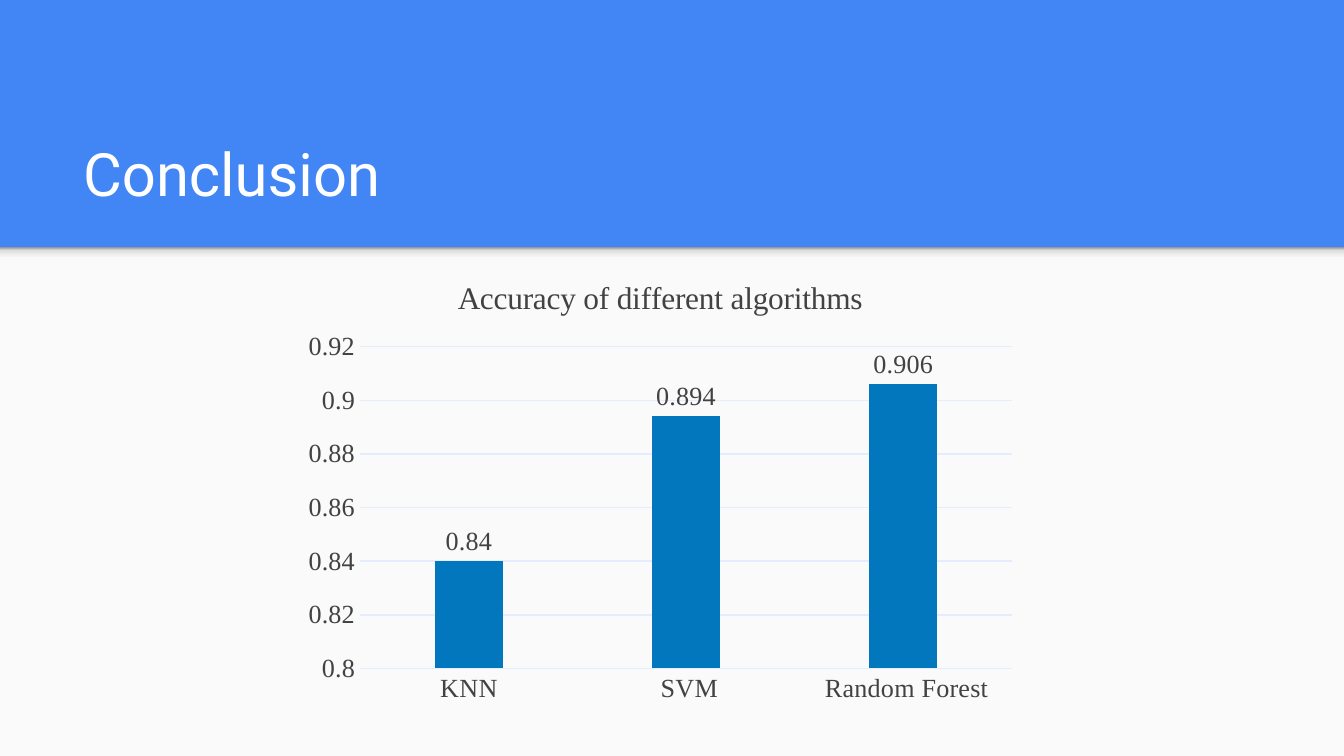
from typing import NamedTuple

from lxml import etree
from pptx import Presentation, util as u
from pptx.chart.data import CategoryChartData
from pptx.dml.color import RGBColor
from pptx.enum import chart as ch, shapes, text
from pptx.oxml import ns, parse_xml

COLORS = {
    "header": "4285F4", "body": "FAFAFA", "heading": "FFFFFF",
    "ink": "424242", "grid": "E3EDFD", "bar": "0277BD",
}
SHADE_STOPS = [(0, "F9F9F9"), (36, "F9F9F9"), (80, "DEDEDE"), (100, "999999")]
CHART_FONT = "Times New Roman"


class Accuracy(NamedTuple):
    algorithm: str
    score: float


ACCURACIES = [
    Accuracy("KNN", 0.84),
    Accuracy(" SVM", 0.894),
    Accuracy(" Random Forest", 0.906),
]


def rgb(key: str) -> RGBColor:
    return RGBColor.from_string(COLORS[key])


def style_font(font, name: str, size: float, color: str) -> None:
    font.name, font.size, font.bold = name, u.Pt(size), False
    font.color.rgb = rgb(color)


def add_band(slide, top: float, height: float):
    """Full-width rectangle without outline or shadow."""
    band = slide.shapes.add_shape(
        shapes.MSO_SHAPE.RECTANGLE, 0, u.Inches(top), u.Inches(10), u.Inches(height))
    band.shadow.inherit = False
    band.line.fill.background()
    return band


def set_layout(parent, **fractions: float) -> None:
    """Fix a chart part's place, as fractions of the chart area."""
    for old in parent.findall(ns.qn("c:layout")):
        parent.remove(old)
    inner = '<c:layoutTarget val="inner"/>' if "w" in fractions else ""
    modes = "".join(f'<c:{k}Mode val="edge"/>' for k in fractions if k in "xy")
    values = "".join(f'<c:{k} val="{v}"/>' for k, v in fractions.items())
    layout = parse_xml(
        f'<c:layout {ns.nsdecls("c")}><c:manualLayout>{inner}{modes}{values}'
        "</c:manualLayout></c:layout>")
    title_text = parent.find(ns.qn("c:tx"))
    parent.insert(0 if title_text is None else 1, layout)


# 16:9 slide
prs = Presentation()
prs.slide_width = u.Inches(10)
prs.slide_height = u.Inches(10 * 9 / 16)
slide = prs.slides.add_slide(prs.slide_layouts[6])

# Header background and body panel
slide.background.fill.solid()
slide.background.fill.fore_color.rgb = rgb("header")
body = add_band(slide, 1.84, 3.79)
body.fill.solid()
body.fill.fore_color.rgb = rgb("body")

# Shade below the header, darkest at its top edge
shade = add_band(slide, 1.84, 0.12)
shade.fill.gradient()
shade.fill.gradient_angle = 90
stops = shade.element.spPr.find(ns.qn("a:gradFill")).find(ns.qn("a:gsLst"))
for stop in list(stops):
    stops.remove(stop)
for position, color in SHADE_STOPS:
    stop = etree.SubElement(stops, ns.qn("a:gs"), pos=str(position * 1000))
    etree.SubElement(stop, ns.qn("a:srgbClr"), val=color)

# Heading
heading = slide.shapes.add_textbox(
    u.Inches(0.52), u.Inches(0.81), u.Inches(8.99), u.Inches(0.84)).text_frame
heading.word_wrap = True
heading.vertical_anchor = text.MSO_ANCHOR.BOTTOM
heading.margin_left = heading.margin_right = u.Inches(0.1)
heading.margin_top = heading.margin_bottom = u.Inches(0.1)
heading.text = "Conclusion"
style_font(heading.paragraphs[0].font, "Roboto", 32, "heading")

# Accuracy chart
data = CategoryChartData()
data.categories = [a.algorithm for a in ACCURACIES]
data.add_series("Series 1", [a.score for a in ACCURACIES])
chart = slide.shapes.add_chart(
    ch.XL_CHART_TYPE.COLUMN_CLUSTERED, u.Inches(2.19), u.Inches(1.92),
    u.Inches(5.46), u.Inches(3.38), data).chart
style_font(chart.font, CHART_FONT, 14, "ink")
chart.has_legend = False

chart.has_title = True
title = chart.chart_title
title.text_frame.text = "Accuracy of different algorithms"
style_font(title.text_frame.paragraphs[0].font, CHART_FONT, 16.8, "ink")
title.include_in_layout = False
set_layout(title._element, x=0.215, y=0.03)
set_layout(chart._chartSpace.chart.plotArea, x=0.09, y=0.195, w=0.888, h=0.709)

# Bars and their values
plot = chart.plots[0]
plot.gap_width, plot.overlap = 219, -27
plot.vary_by_categories = False
bars = plot.series[0]
bars.format.fill.solid()
bars.format.fill.fore_color.rgb = rgb("bar")
labels = bars.data_labels
labels.show_value = True
labels.position = ch.XL_LABEL_POSITION.OUTSIDE_END
style_font(labels.font, CHART_FONT, 14, "ink")

# Axes
algorithms, scores = chart.category_axis, chart.value_axis
for axis in (algorithms, scores):
    axis.major_tick_mark = axis.minor_tick_mark = ch.XL_TICK_MARK.NONE
    style_font(axis.tick_labels.font, CHART_FONT, 14, "ink")
scores.minimum_scale, scores.maximum_scale, scores.major_unit = 0.8, 0.92, 0.02
scores.format.line.fill.background()
scores.has_major_gridlines = True
for line in (algorithms.format.line, scores.major_gridlines.format.line):
    line.color.rgb = rgb("grid")
    line.width = u.Pt(0.75)

prs.save("out.pptx")
